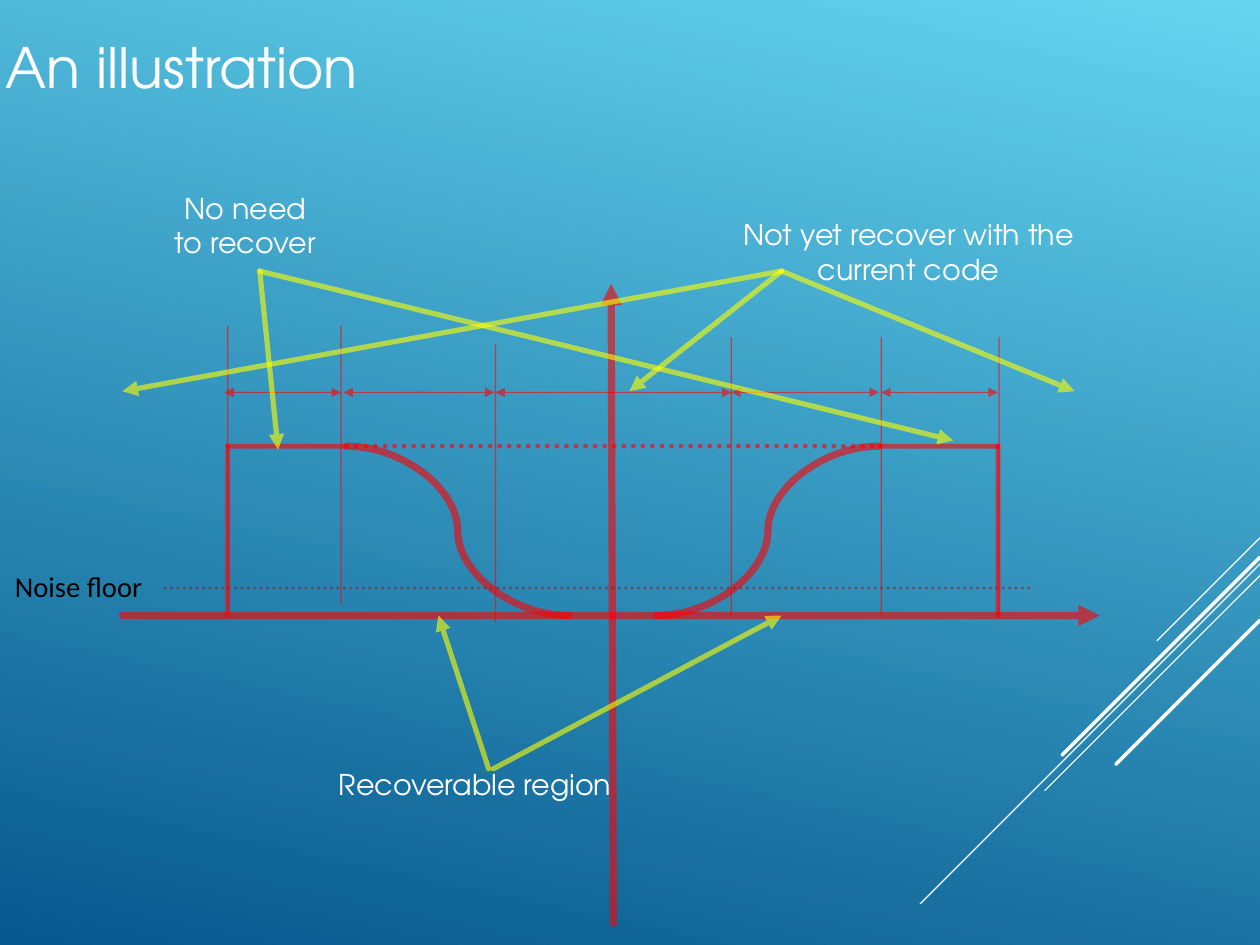
from lxml import etree
from pptx import Presentation
from pptx.dml.color import RGBColor
from pptx.enum.dml import MSO_LINE
from pptx.enum.shapes import MSO_CONNECTOR
from pptx.enum.text import MSO_ANCHOR, MSO_AUTO_SIZE, PP_ALIGN
from pptx.oxml.ns import qn
from pptx.util import Pt

STRAIGHT = MSO_CONNECTOR.STRAIGHT
DOTS = MSO_LINE.ROUND_DOT
LEFT, CENTER = PP_ALIGN.LEFT, PP_ALIGN.CENTER
TOP, MIDDLE = MSO_ANCHOR.TOP, MSO_ANCHOR.MIDDLE
FIT = MSO_AUTO_SIZE.SHAPE_TO_FIT_TEXT

# Content: lengths in px, 100 px to the inch
PX = 9144
WIDTH, HEIGHT = 1101, 826
COLORS = {"deep": "06588E", "sky": "64D4EF", "white": "FFFFFF", "black": "000000",
          "signal": "FF0000", "pointer": "FFFF00", "noise": "951A1B"}
HEADING_FONT, LABEL_FONT = "TeX Gyre Adventor", "Calibri"

TITLE = ("An illustration", (0, 23, 992, 70))
LABELS = [  # lines, box, alignment, font, colour
    (["Recoverable region"], (291, 665, 252, 41), LEFT, HEADING_FONT, "white"),
    (["Not yet recover with the", "current code"], (642, 185, 304, 71), CENTER,
     HEADING_FONT, "white"),
    (["No need", "to recover"], (146, 162, 137, 71), CENTER, HEADING_FONT, "white"),
    (["Noise floor"], (8, 492, 132, 39), LEFT, LABEL_FONT, "black"),
]
STRIPES = [  # right end x, y; length along both axes; width in points
    (1102, 469, 91, 0.75), (1102, 492, 298, 0.75), (1102, 502, 189, 0.75),
    (1101, 487, 173, 2.25), (1101, 542, 126, 2.25),
]

# Levels and edges of the spectrum
PEAK, BASE, RULER, NOISE = 390, 538, 343, 514
OUTER_L, SHOULDER_L, SHOULDER_R, OUTER_R = 199, 303, 768, 872
FOOT_L, FOOT_R = 497, 574
AXES = [((107, BASE), (961, BASE)), ((536, 807), (534, 248))]
OUTLINE = [
    ((OUTER_L, PEAK), (SHOULDER_L, PEAK)), ((SHOULDER_R, PEAK), (OUTER_R, PEAK)),
    ((OUTER_R, PEAK), (OUTER_R, BASE)), ((OUTER_L, PEAK), (OUTER_L, BASE)),
]
GUIDES = [(199, 285, 528), (298, 285, 528), (433, 301, 543),  # x, top, bottom
          (639, 295, 538), (770, 295, 537), (873, 295, 537)]
SPANS = [(196, 298), (300, 432), (433, 639), (639, 768), (770, 872)]
POINTERS = [  # start, targets
    ((427, 672), [(383, BASE)]),
    ((431, 672), [(683, BASE)]),
    ((683, 237), [(550, 342), (939, 342), (107, 342)]),
    ((227, 237), [(243, 393), (833, 385)]),
]
CURVE_STEPS = 24


def rgb(name):
    return RGBColor.from_string(COLORS[name])


def style_line(shape, color, width, alpha=60, dash=None, head=False, tail=False):
    line = shape.line
    line.fill.solid()
    line.fill.fore_color.rgb = rgb(color)
    line.width = Pt(width)
    if dash:
        line.dash_style = dash
    ln = shape._element.spPr.find(qn("a:ln"))
    ln.set("cap", "rnd")
    if alpha < 100:
        clr = ln.find(".//" + qn("a:srgbClr"))
        etree.SubElement(clr, qn("a:alpha")).set("val", str(alpha * 1000))
    for tag, wanted in (("a:headEnd", head), ("a:tailEnd", tail)):
        if wanted:
            etree.SubElement(ln, qn(tag)).set("type", "triangle")
    etree.SubElement(shape._element.spPr, qn("a:effectLst"))


def add_line(s, start, end, color, width, **style):
    points = [v * PX for v in (*start, *end)]
    style_line(s.shapes.add_connector(STRAIGHT, *points), color, width, **style)


def bezier(a, b, c, d):
    for i in range(CURVE_STEPS + 1):
        t = i / CURVE_STEPS
        u = 1 - t
        yield tuple(u**3 * p + 3 * u * u * t * q + 3 * u * t * t * r + t**3 * v
                    for p, q, r, v in zip(a, b, c, d))


def add_slope(s, shoulder, foot):
    """S-shaped slope from the peak at shoulder to the base at foot."""
    mid_x, mid_y = (shoulder + foot) / 2, (PEAK + BASE) / 2
    bend = (BASE - PEAK) / 4
    upper = bezier((shoulder, PEAK), ((shoulder + mid_x) / 2, PEAK),
                   (mid_x, mid_y - bend), (mid_x, mid_y))
    lower = bezier((mid_x, mid_y), (mid_x, mid_y + bend),
                   ((mid_x + foot) / 2, BASE), (foot, BASE))
    points = [(round(x * PX), round(y * PX)) for x, y in (*upper, *lower)]
    builder = s.shapes.build_freeform(*points[0])
    builder.add_line_segments(points[1:], close=False)
    sp = builder.convert_to_shape()
    sp.fill.background()
    style_line(sp, "signal", 4.5)


def fill_text(sp, lines, size, font, color, align, anchor=TOP, wrap=False):
    tf = sp.text_frame
    tf.word_wrap, tf.auto_size, tf.vertical_anchor = wrap, FIT, anchor
    tf.margin_left = tf.margin_right = tf.margin_top = tf.margin_bottom = 5 * PX
    p = tf.paragraphs[0]
    p.alignment = align
    for i, text in enumerate(lines):
        if i:
            p.add_line_break()
        r = p.add_run()
        r.text = text
        r.font.size, r.font.name = Pt(size), font
        r.font.color.rgb = rgb(color)


def main():
    prs = Presentation()
    prs.slide_width, prs.slide_height = WIDTH * PX, HEIGHT * PX
    s = prs.slides.add_slide(prs.slide_layouts[5])

    # Background and corner stripes
    fill = s.background.fill
    fill.gradient()
    fill.gradient_angle = 78
    for stop, name in zip(fill.gradient_stops, ("deep", "sky")):
        stop.color.rgb = rgb(name)
    for x, y, length, width in STRIPES:
        add_line(s, (x, y), (x - length, y + length), "white", width, alpha=100)

    # Title
    text, box = TITLE
    title = s.shapes.title
    title.left, title.top, title.width, title.height = (v * PX for v in box)
    fill_text(title, [text], 35, HEADING_FONT, "white", LEFT, MIDDLE, wrap=True)

    # Axes and spectrum
    for start, end in AXES:
        add_line(s, start, end, "signal", 4.5, tail=True)
    add_slope(s, SHOULDER_L, FOOT_L)
    add_slope(s, SHOULDER_R, FOOT_R)
    add_line(s, (SHOULDER_L, PEAK), (SHOULDER_R, PEAK), "signal", 3, dash=DOTS)
    for start, end in OUTLINE:
        add_line(s, start, end, "signal", 3)

    # Region guides and spans
    for x, top, bottom in GUIDES:
        add_line(s, (x, bottom), (x, top), "signal", 0.75)
    for left, right in SPANS:
        add_line(s, (left, RULER), (right, RULER), "signal", 0.75, head=True, tail=True)
    add_line(s, (899, NOISE), (141, NOISE), "noise", 2, dash=DOTS)

    # Pointers and labels
    for start, targets in POINTERS:
        for target in targets:
            add_line(s, start, target, "pointer", 3.25, tail=True)
    for lines, box, align, font, color in LABELS:
        tb = s.shapes.add_textbox(*(v * PX for v in box))
        fill_text(tb, lines, 18, font, color, align)

    prs.save("out.pptx")


if __name__ == "__main__":
    main()
